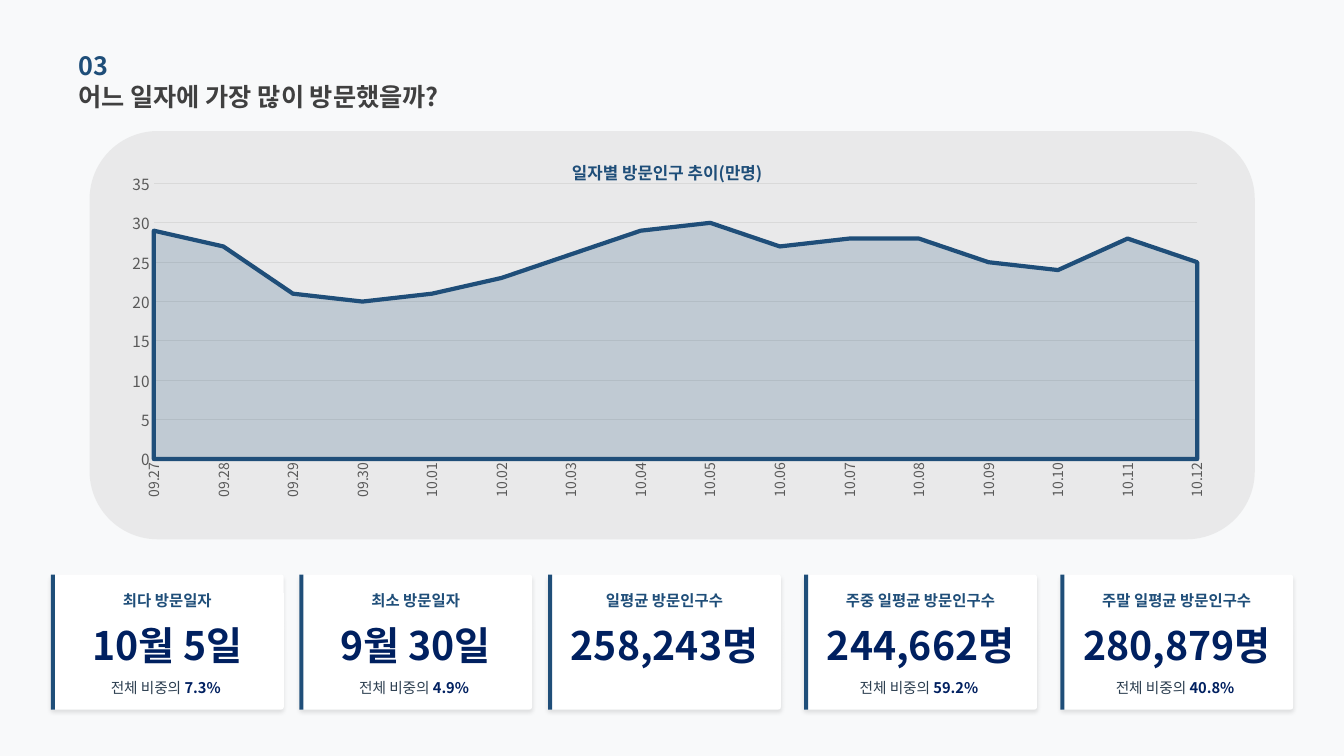
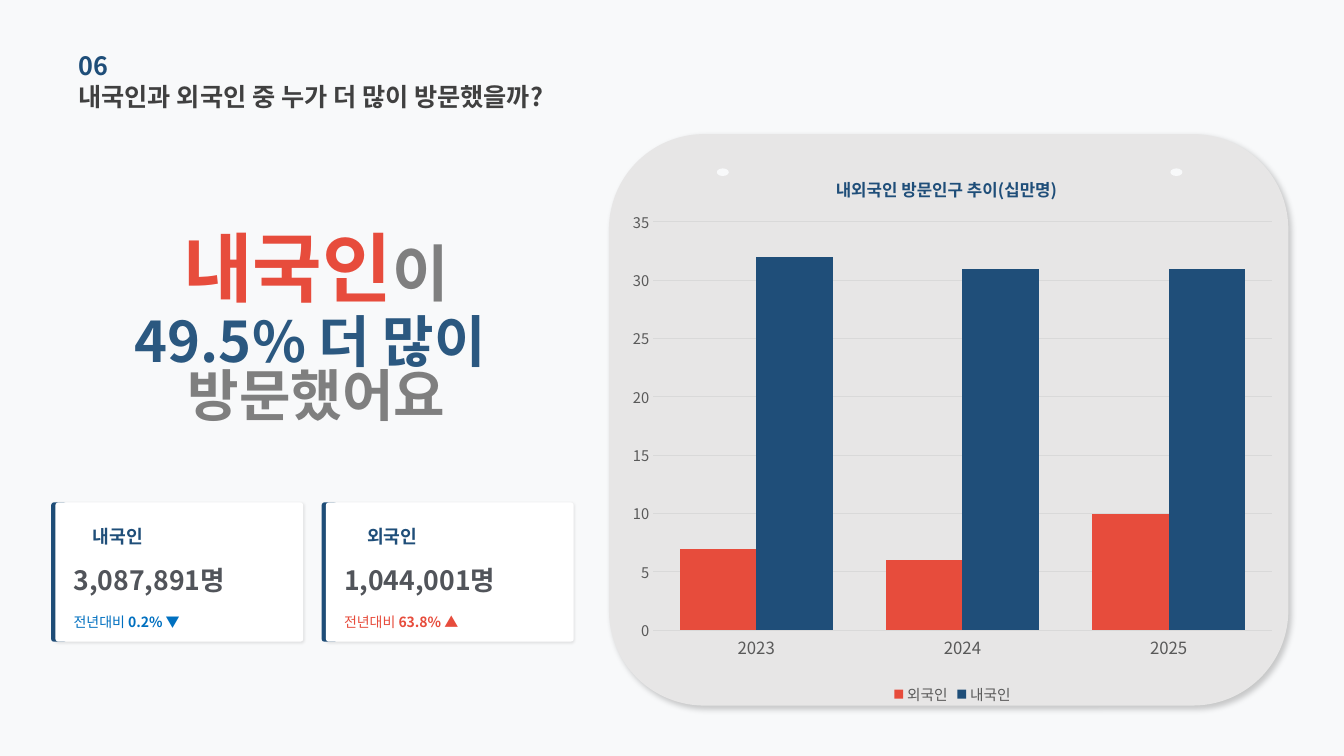
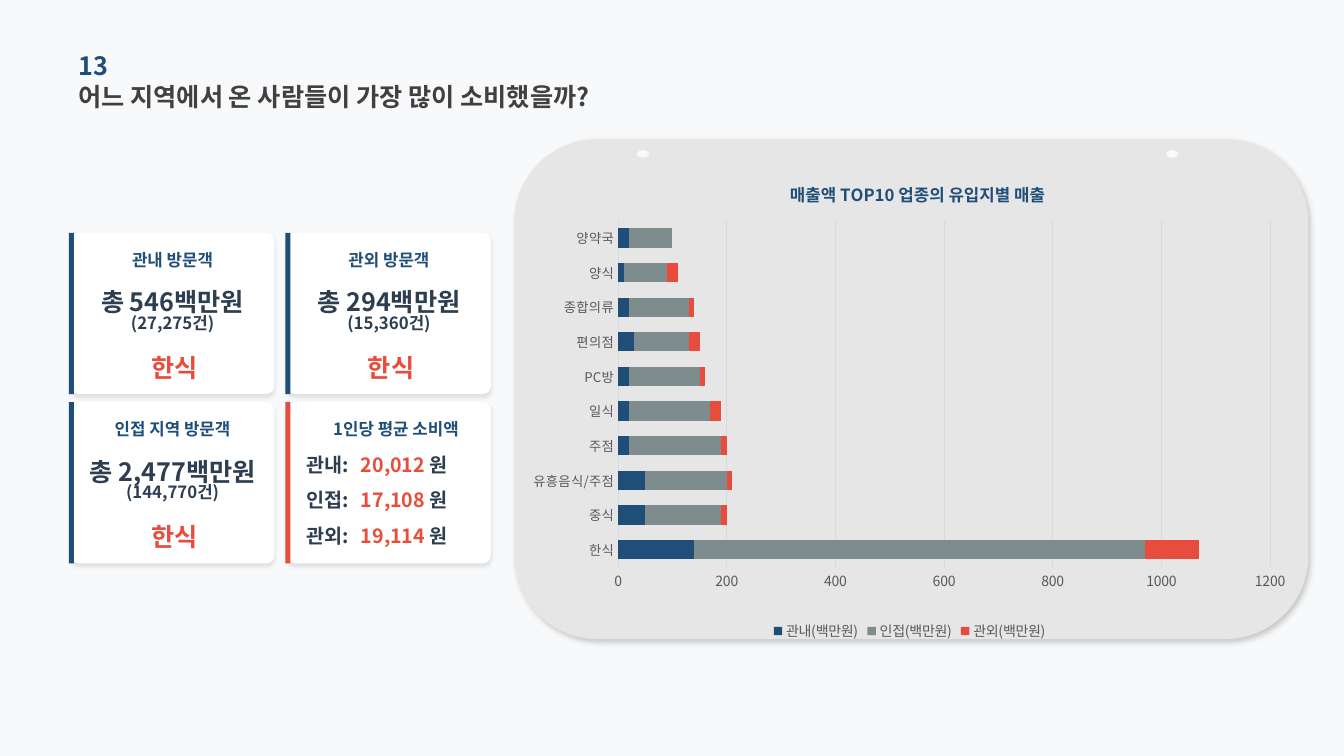
from dataclasses import dataclass

from lxml import etree
from pptx import Presentation
from pptx.chart.data import CategoryChartData
from pptx.dml.color import RGBColor
from pptx.enum.chart import XL_CHART_TYPE, XL_LEGEND_POSITION, XL_TICK_MARK
from pptx.enum.shapes import MSO_SHAPE
from pptx.enum.text import MSO_ANCHOR, MSO_AUTO_SIZE, PP_ALIGN
from pptx.oxml import parse_xml
from pptx.oxml.ns import nsdecls, qn
from pptx.util import Pt


@dataclass(frozen=True)
class Theme:
    font: str = "Noto Sans CJK KR"
    bg: str = "F8F9FA"
    white: str = "FFFFFF"
    panel: str = "E7E6E6"
    panel_dark: str = "D0CECE"
    navy: str = "1F4E79"
    deep: str = "002060"
    steel: str = "2B5880"
    red: str = "E74C3C"
    blue: str = "0070C0"
    slate: str = "2C3E50"
    ink: str = "404040"
    number: str = "51545A"
    grey: str = "7F7F7F"
    teal: str = "7F8C8D"
    axis: str = "595959"
    grid: str = "D9D9D9"
    title_size: float = 18
    label_size: float = 12
    small_size: float = 10.5
    # Shadows: opacity %, blur, distance, angle
    card_shadow: tuple = (10, 3, 2, 90)
    flat_shadow: tuple = (10, 2, 1, 90)
    panel_shadow: tuple = (20, 4, 3, 45)


T = Theme()


def add_box(s, kind, at, fill, shadow=None, adj=None):
    sp = s.shapes.add_shape(kind, *map(Pt, at))
    sp.shadow.inherit = False
    sp.fill.solid()
    sp.fill.fore_color.rgb = RGBColor.from_string(fill)
    sp.line.fill.background()
    if adj is not None:
        sp.adjustments[0] = adj
    if shadow:
        alpha, blur, dist, angle = shadow
        effects = sp.element.spPr.find(qn("a:effectLst"))
        effects.append(parse_xml(
            f'<a:outerShdw {nsdecls("a")} blurRad="{Pt(blur)}" dist="{Pt(dist)}" '
            f'dir="{angle * 60000}" algn="ctr" rotWithShape="0"><a:srgbClr val="000000">'
            f'<a:alpha val="{alpha * 1000}"/></a:srgbClr></a:outerShdw>'))
    return sp


def add_text(s, at, *paragraphs, align=PP_ALIGN.LEFT, spacing=None, sp=None):
    """Each paragraph is a list of runs: (text, size, colour, bold)."""
    sp = sp or s.shapes.add_textbox(0, 0, 0, 0)
    sp.left, sp.top, sp.width, sp.height = map(Pt, at)
    tf = sp.text_frame
    tf.word_wrap = True
    tf.auto_size = MSO_AUTO_SIZE.NONE
    tf.vertical_anchor = MSO_ANCHOR.MIDDLE
    tf.margin_left = tf.margin_right = tf.margin_top = tf.margin_bottom = 0
    for i, runs in enumerate(paragraphs):
        p = tf.add_paragraph() if i else tf.paragraphs[0]
        p.alignment = align
        if spacing:
            p.line_spacing = spacing
        for text, size, color, bold in runs:
            r = p.add_run()
            r.text = text
            r.font.name, r.font.size, r.font.bold = T.font, Pt(size), bold
            r.font.color.rgb = RGBColor.from_string(color)


prs = Presentation()
prs.slide_width, prs.slide_height = Pt(960), Pt(540)
bg = prs.slide_master.background.fill
bg.solid()
bg.fore_color.rgb = RGBColor.from_string(T.bg)
RECT, ROUND, OVAL = MSO_SHAPE.RECTANGLE, MSO_SHAPE.ROUNDED_RECTANGLE, MSO_SHAPE.OVAL
CENTER = PP_ALIGN.CENTER

# Slides with section number and title
slides = []
for number, title in [("03", "어느 일자에 가장 많이 방문했을까?"),
                      ("06", "내국인과 외국인 중 누가 더 많이 방문했을까?"),
                      ("13", "어느 지역에서 온 사람들이 가장 많이 소비했을까?")]:
    s = prs.slides.add_slide(prs.slide_layouts[5])
    add_text(s, (56, 54, 385, 29.5), [(title, T.title_size, T.ink, True)], sp=s.shapes.title)
    add_text(s, (56, 31.7, 325, 29.5), [(number, T.title_size, T.navy, True)])
    slides.append(s)
days, origins, spending = slides

# Days: chart panel
panel = add_box(days, ROUND, (64, 93.6, 832.3, 291.6), T.panel_dark)
etree.SubElement(panel.element.spPr.find(f".//{qn('a:srgbClr')}"), qn("a:alpha"), val="36000")

# Days: key figure cards
top, w, h = 410.4, 166.3, 96.5
for left, label, figure, share in [
        (36.4, "최다 방문일자", "10월 5일", "7.3% "),
        (213.8, "최소 방문일자", "9월 30일", "4.9% "),
        (391.5, "일평균 방문인구수", "258,243명", None),
        (574.4, "주중 일평균 방문인구수", "244,662명", "59.2% "),
        (757.4, "주말 일평균 방문인구수", "280,879명", "40.8% ")]:
    add_box(days, ROUND, (left, top, w, h), T.white, T.card_shadow, 0.02)
    add_box(days, RECT, (left, top, 2.9, h), T.navy)
    add_text(days, (left, top + 10.4, w, 16), [(label, 11, T.navy, True)], align=CENTER)
    add_text(days, (left, top + 36.4, w, 27.4), [(figure, 28, T.deep, True)], align=CENTER)
    if share:
        add_text(days, (left, top + 73.4, w, 15),
                 [("전체 비중의 ", T.small_size, T.slate, False),
                  (share, T.small_size, T.deep, True)], align=CENTER)

# Origins and spending: chart panels with two pin holes
for s, at, holes, hole_top in [(origins, (435, 95.8, 485.3, 408.2), (512, 836), 120.3),
                               (spending, (367.2, 99.4, 567.4, 357.1), (455, 833), 107.3)]:
    add_box(s, ROUND, at, T.panel, T.panel_shadow)
    for left in holes:
        add_box(s, OVAL, (left, hole_top, 8.6, 5.4), T.bg)

# Origins: headline
add_text(origins, (71.3, 172.8, 309, 34.6),
         [("내국인", 54, T.red, True), ("이", 44, T.grey, True)], align=CENTER)
add_text(origins, (27.4, 236.2, 397.4, 60.5), [("49.5% 더 많이 ", 40, T.steel, True)],
         [("방문했어요", 40, T.grey, True)], align=CENTER, spacing=0.8)

# Origins: visitor cards
top, w, h = 358.9, 177, 99.4
for i, (name, count, change, color, indent) in enumerate([
        ("내국인", "3,087,891명", "0.2% ▼", T.blue, 26.6),
        ("외국인", "1,044,001명", "63.8% ▲", T.red, 29.4)]):
    left = 39.6 + i * 193.2
    add_box(origins, ROUND, (left - 3, top, 10.8, h), T.navy)
    add_box(origins, ROUND, (left, top, w, h), T.white, T.flat_shadow, 0.02)
    add_text(origins, (left + indent, top + 14, 60, 20), [(name, 13, T.navy, True)])
    add_text(origins, (left + 13, top + 41, 160, 28), [(count, 19, T.number, True)])
    add_text(origins, (left + 13, top + 69.6, 160, 32),
             [("전년대비 ", 10, color, False), (change, 10, color, True)])

# Spending: two by two cards, the last one for the average per person
w, h = 145.5, 115.2
for i, (label, total, count, accent) in enumerate([
        ("관내 방문객", "총 546백만원", "(27,275건)", T.navy),
        ("관외 방문객", "총 294백만원", "(15,360건)", T.navy),
        ("인접 지역 방문객", "총 2,477백만원", "(144,770건)", T.navy),
        ("1인당 평균 소비액", None, None, T.red)]):
    left, top = 50.5 + i % 2 * 154.6, 166.3 + i // 2 * 121
    add_box(spending, ROUND, (left, top, w, h), T.white, T.card_shadow, 0.05)
    add_box(spending, RECT, (left - 1.3, top, 3.6, h), accent)
    shift = 0 if total else 5
    add_text(spending, (left + shift, top + 8, w, 22), [(label, T.label_size, T.navy, True)],
             align=CENTER)
    if total:
        add_text(spending, (left, top + 40, w, 34), [(total, 18, T.slate, True)],
                 [(count, T.label_size, T.slate, True)], align=CENTER, spacing=0.8)
        add_text(spending, (left + 1.5, top + 79, w, 34), [("한식", 18, T.red, True)],
                 align=CENTER)
for i, (area, amount) in enumerate([("관내:", "20,012 "), ("인접:", "17,108 "),
                                    ("관외:", "19,114 ")]):
    y = 321.2 + i * 25.2
    add_text(spending, (219, y, 42, 21.5), [(area, 14, T.slate, True)])
    add_text(spending, (257.8, y, 100, 21.5),
             [(amount, 14, T.red, True), ("원", 14, T.slate, True)])

# Charts: layouts are fractions of the chart area
charts = [
    dict(slide=days, kind=XL_CHART_TYPE.AREA, at=(77.8, 95.8, 801.4, 293.8),
         title="일자별 방문인구 추이(만명)", title_at=(0.41, 0.05),
         plot=(0.04, 0.12, 0.93, 0.67), scale=(35, 5), sizes=(10, 11),
         cats=[f"09.{d}" for d in range(27, 31)] + [f"10.{d:02}" for d in range(1, 13)],
         series=[("Series 1", T.navy,
                  (29, 27, 21, 20, 21, 23, 26, 29, 30, 27, 28, 28, 25, 24, 28, 25))]),
    dict(slide=origins, kind=XL_CHART_TYPE.COLUMN_CLUSTERED, at=(442.8, 106.6, 475.2, 399.6),
         title="내외국인 방문인구 추이(십만명)", title_at=(0.32, 0.04),
         plot=(0.05, 0.13, 0.93, 0.73), scale=(35, 5), sizes=(12, 10.5),
         gap=70, overlap=0, legend=10.5, cats=["2023", "2024", "2025"],
         series=[("외국인", T.red, (7, 6, 10)), ("내국인", T.navy, (32, 31, 31))]),
    dict(slide=spending, kind=XL_CHART_TYPE.BAR_STACKED, at=(375.8, 112.3, 547.9, 348.5),
         title="매출액 TOP10 업종의 유입지별 매출", title_at=(0.34, 0.04),
         plot=(0.12, 0.13, 0.85, 0.71), scale=(1200, 200), sizes=(9.5, 10),
         gap=80, overlap=100, legend=10,
         cats=["한식", "중식", "유흥음식/주점", "주점", "일식", "PC방", "편의점", "종합의류",
               "양식", "양약국"],
         series=[("관내(백만원)", T.navy, (140, 50, 50, 20, 20, 20, 30, 20, 10, 20)),
                 ("인접(백만원)", T.teal, (830, 140, 150, 170, 150, 130, 100, 110, 80, 80)),
                 ("관외(백만원)", T.red, (100, 10, 10, 10, 20, 10, 20, 10, 20, 0))]),
]
roots = [s.element for s in slides]
for c in charts:
    data = CategoryChartData()
    data.categories = c["cats"]
    for name, _, values in c["series"]:
        data.add_series(name, values)
    chart = c["slide"].shapes.add_chart(c["kind"], *map(Pt, c["at"]), data).chart
    root = chart.element
    roots.append(root)
    chart.font.name, chart.font.size = T.font, Pt(10)

    # Title
    tf = chart.chart_title.text_frame
    tf.text = c["title"]
    font = tf.paragraphs[0].runs[0].font
    font.name, font.size, font.bold = T.font, Pt(T.label_size), True
    font.color.rgb = RGBColor.from_string(T.navy)

    # Axes
    cat, val = chart.category_axis, chart.value_axis
    for axis, size in zip((cat, val), c["sizes"]):
        axis.major_tick_mark = axis.minor_tick_mark = XL_TICK_MARK.NONE
        font = axis.tick_labels.font
        font.name, font.size = T.font, Pt(size)
        font.color.rgb = RGBColor.from_string(T.axis)
    val.minimum_scale = 0
    val.maximum_scale, val.major_unit = c["scale"]
    val.format.line.fill.background()
    cat.has_major_gridlines, val.has_major_gridlines = False, True
    for line in (cat.format.line, val.major_gridlines.format.line):
        line.color.rgb = RGBColor.from_string(T.grid)
        line.width = Pt(0.75)

    # Series
    plot = chart.plots[0]
    plot.vary_by_categories = False
    for series, (_, color, _) in zip(plot.series, c["series"]):
        series.format.fill.solid()
        series.format.fill.fore_color.rgb = RGBColor.from_string(color)
    if c["kind"] == XL_CHART_TYPE.AREA:
        fill_color = root.find(f".//{qn('c:ser')}//{qn('a:srgbClr')}")
        etree.SubElement(fill_color, qn("a:alpha"), val="20000")
        series.format.line.color.rgb = RGBColor.from_string(T.navy)
        series.format.line.width = Pt(3)
        labels = root.find(f".//{qn('c:catAx')}/{qn('c:txPr')}/{qn('a:bodyPr')}")
        labels.set("rot", "-5400000")
        root.find(f".//{qn('c:crossBetween')}").set("val", "midCat")
    else:
        plot.gap_width, plot.overlap = c["gap"], c["overlap"]

    # Legend
    chart.has_legend = "legend" in c
    if chart.has_legend:
        chart.legend.position = XL_LEGEND_POSITION.BOTTOM
        chart.legend.include_in_layout = False
        font = chart.legend.font
        font.name, font.size = T.font, Pt(c["legend"])
        font.color.rgb = RGBColor.from_string(T.axis)

    # Manual layout of title and plot
    plot_area = root.find(f".//{qn('c:plotArea')}")
    for parent, index, frame in [(root.find(f".//{qn('c:title')}"), 1, c["title_at"]),
                                 (plot_area, 0, c["plot"])]:
        for old in parent.findall(qn("c:layout")):
            parent.remove(old)
        layout = etree.Element(qn("c:layout"))
        manual = etree.SubElement(layout, qn("c:manualLayout"))
        if parent is plot_area:
            etree.SubElement(manual, qn("c:layoutTarget"), val="inner")
        for tag in ("xMode", "yMode"):
            etree.SubElement(manual, qn(f"c:{tag}"), val="edge")
        for tag, value in zip("xywh", frame):
            etree.SubElement(manual, qn(f"c:{tag}"), val=str(value))
        parent.insert(index, layout)

# Korean text uses the same font as Latin text
for root in roots:
    for latin in list(root.iter(qn("a:latin"))):
        latin.addnext(etree.Element(qn("a:ea"), typeface=T.font))

prs.save("out.pptx")
